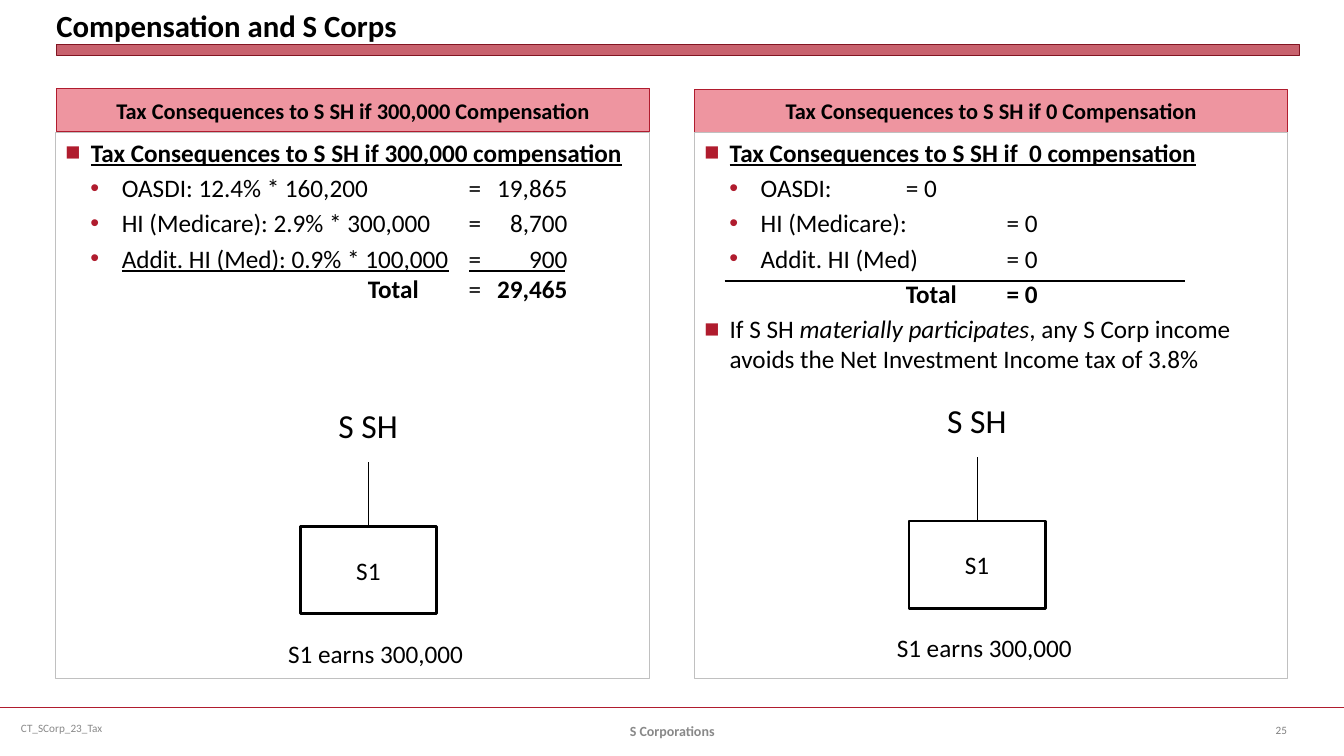
from lxml.etree import SubElement
from pptx import Presentation
from pptx.dml.color import RGBColor
from pptx.enum.shapes import MSO_CONNECTOR, MSO_SHAPE
from pptx.enum.text import MSO_ANCHOR, PP_ALIGN
from pptx.oxml.ns import qn
from pptx.util import Cm, Pt

RED = RGBColor(0xB0, 0x1C, 0x2E)
DARK = RGBColor(0x82, 0x15, 0x22)
PINK = RGBColor(0xEE, 0x95, 0xA0)
SILVER = RGBColor(0xC0, 0xC0, 0xC0)
GREY = RGBColor(0x89, 0x89, 0x89)
NUMBER = RGBColor(0x80, 0x80, 0x80)
BLACK = RGBColor(0, 0, 0)
WHITE = RGBColor(0xFF, 0xFF, 0xFF)
WIDTH, HEIGHT = 33.87, 19.05
BULLETS = {"main": ("■", 0.64, 0.64), "sub": ("•", 1.42, 0.79)}


def style(par, size, color=BLACK, bold=False, align=PP_ALIGN.LEFT):
    par.alignment = align
    font = par.font
    font.name, font.size, font.bold = "Calibri", Pt(size), bold
    font.color.rgb = color


def rect(shapes, box, fill, line, width):
    shape = shapes.add_shape(MSO_SHAPE.RECTANGLE, *map(Cm, box))
    shape.shadow.inherit = False
    if fill is None:
        shape.fill.background()
    else:
        shape.fill.solid()
        shape.fill.fore_color.rgb = fill
    shape.line.color.rgb = line
    shape.line.width = Pt(width)
    return shape


def rule(shapes, start, end, color, width):
    line = shapes.add_connector(MSO_CONNECTOR.STRAIGHT, *map(Cm, start + end))
    line.line.color.rgb = color
    line.line.width = Pt(width)
    SubElement(line._element.spPr, qn("a:effectLst"))


def write(shape, text, size, anchor=MSO_ANCHOR.MIDDLE, **look):
    frame = shape.text_frame
    frame.word_wrap = True
    frame.vertical_anchor = anchor
    frame.text = text
    style(frame.paragraphs[0], size, **look)
    return frame


def label(shapes, box, text, size, **look):
    return write(shapes.add_textbox(*map(Cm, box)), text, size, **look)


def layout(par, kind, tabs):
    props = par._p.get_or_add_pPr()
    if kind in BULLETS:
        mark, left, hang = BULLETS[kind]
        props.set("marL", str(Cm(left)))
        props.set("indent", str(-Cm(hang)))
        color = SubElement(props, qn("a:buClr"))
        SubElement(color, qn("a:srgbClr"), val=str(RED))
        SubElement(props, qn("a:buFont"), typeface="Arial")
        SubElement(props, qn("a:buChar"), char=mark)
    else:
        SubElement(props, qn("a:buNone"))
    stops = SubElement(props, qn("a:tabLst"))
    for place, side in tabs:
        SubElement(stops, qn("a:tab"), pos=str(Cm(place)), algn=side)


def panel(shapes, box, head, title, rows, tabs):
    bar = rect(shapes, head, PINK, RED, 0.75)
    write(bar, title, 16, bold=True, align=PP_ALIGN.CENTER)
    frame = rect(shapes, box, WHITE, SILVER, 0.75).text_frame
    frame.word_wrap = True
    frame.vertical_anchor = MSO_ANCHOR.TOP
    for index, (kind, gap, runs) in enumerate(rows):
        par = frame.add_paragraph() if index else frame.paragraphs[0]
        layout(par, kind, tabs)
        if index:
            par.space_before = Pt(gap)
        style(par, 18)
        for text, marks in runs:
            run = par.add_run()
            run.text = text
            if "b" in marks:
                run.font.bold = True
            if "i" in marks:
                run.font.italic = True
            if "u" in marks:
                run.font.underline = True


def owner(shapes, x, y):
    square = rect(shapes, (x, y, 3.43, 2.21), None, BLACK, 2)
    write(square, "S1", 18, align=PP_ALIGN.CENTER)
    top = MSO_ANCHOR.TOP
    label(shapes, (x + 0.71, y - 3.18, 2.03, 1.27), "S SH", 24,
          anchor=top).word_wrap = False
    rule(shapes, (x + 1.72, y - 1.61), (x + 1.72, y), BLACK, 1)
    label(shapes, (x - 0.56, y + 2.69, 5.08, 1.02), "S1 earns 300,000", 18,
          anchor=top)


def header(shapes, x, width):
    bar = rect(shapes, (x, 1.13, width, 0.26), RED, DARK, 0)
    fill = bar.fill._xPr.find(qn("a:solidFill"))
    SubElement(fill[0], qn("a:alpha"), val="69000")
    frame = label(shapes, (x, 0, width, 1.09), "Compensation and S Corps", 22,
                  bold=True, anchor=MSO_ANCHOR.BOTTOM)
    frame.margin_left = frame.margin_right = 0
    frame.margin_top = frame.margin_bottom = 0


def footer(shapes, y):
    rule(shapes, (0, y), (WIDTH, y), RED, 1.25)
    label(shapes, (0.28, y, 8.74, 1.02), "CT_SCorp_23_Tax", 8, color=GREY)
    label(shapes, (11.58, y + 0.07, 10.72, 1.02), "S Corporations", 10,
          color=GREY, bold=True, align=PP_ALIGN.CENTER)
    label(shapes, (31.9, y + 0.05, 1.7, 1.02), "25", 8, color=NUMBER)


def main():
    deck = Presentation()
    deck.slide_width, deck.slide_height = Cm(WIDTH), Cm(HEIGHT)
    shapes = deck.slides.add_slide(deck.slide_layouts[6]).shapes
    header(shapes, 1.42, 31.32)

    paid = [
        ("main", 0, [("Tax Consequences to S SH if 300,000 compensation", "bu")]),
        ("sub", 3.6, [("OASDI: 12.4% * 160,200\t=\t19,865", "")]),
        ("sub", 3.6, [("HI (Medicare): 2.9% * 300,000\t=\t8,700", "")]),
        ("sub", 3.6, [("Addit. HI (Med): 0.9% * 100,000", "u"), ("\t=\t900", "")]),
        ("sum", 0.2, [("\tTotal", "b"), ("\t=\t", ""), ("29,465", "b")]),
    ]
    panel(shapes, (1.4, 3.33, 14.96, 13.77), (1.42, 2.24, 14.96, 1.07),
          "Tax Consequences to S SH if 300,000 Compensation", paid,
          [(7.62, "l"), (10.16, "l"), (12.65, "r")])
    rule(shapes, (11.82, 6.82), (14.24, 6.82), BLACK, 1.5)
    owner(shapes, 7.57, 13.26)

    unpaid = [
        ("main", 0, [("Tax Consequences to S SH if  0 compensation", "bu")]),
        *[("sub", 3.6, [(f"{tax}\t= 0", "")])
          for tax in ("OASDI:", "HI (Medicare):", "Addit. HI (Med)")],
        ("sum", 3.6, [("\tTotal\t= 0", "b")]),
        ("main", 3.6, [("If S SH ", ""), ("materially participates", "i"),
                       (", any S Corp income avoids the Net Investment "
                        "Income tax of 3.8%", "")]),
    ]
    panel(shapes, (17.5, 3.33, 14.96, 13.77), (17.5, 2.26, 14.96, 1.07),
          "Tax Consequences to S SH if 0 Compensation", unpaid,
          [(5.08, "l"), (7.62, "l")])
    rule(shapes, (18.26, 7.09), (29.87, 7.09), BLACK, 1.5)
    owner(shapes, 22.91, 13.13)

    footer(shapes, 17.83)
    deck.save("out.pptx")


if __name__ == "__main__":
    main()
